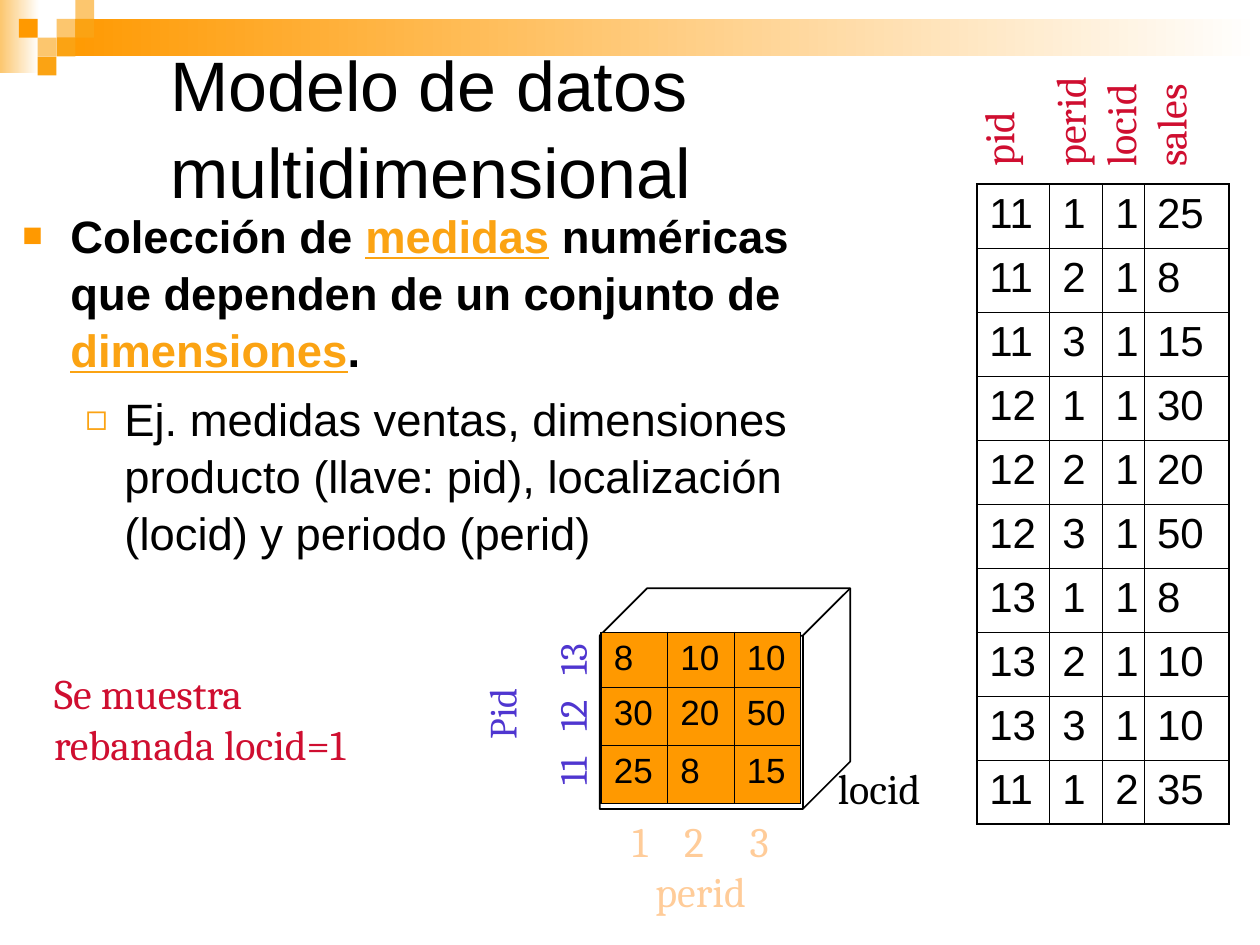
from dataclasses import dataclass

from lxml.etree import SubElement
from pptx import Presentation
from pptx.dml.color import RGBColor
from pptx.enum.shapes import MSO_SHAPE as Shape
from pptx.enum.text import MSO_ANCHOR as Anchor, PP_ALIGN as Align
from pptx.oxml.ns import qn
from pptx.util import Cm, Pt


@dataclass(frozen=True)
class Theme:
    black: str = "000000"
    white: str = "FFFFFF"
    orange: str = "FF9900"
    amber: str = "FBA313"
    sand: str = "FCC66E"
    peach: str = "FFCC99"
    red: str = "CF0E30"
    blue: str = "4F36D0"
    sans: str = "Arial"
    serif: str = "Cambria"
    title: float = 40
    body: float = 25.9
    label: float = 24
    axis: float = 22
    cell: float = 20
    thin: float = 0.45
    thick: float = 1.08


T = Theme()


def rgb(code):
    return RGBColor.from_string(code)


def add_run(para, text, size, color=T.black, face=T.sans, bold=False, line=False):
    run = para.add_run()
    run.text = text
    font = run.font
    font.size, font.name, font.bold, font.underline = Pt(size), face, bold, line
    font.color.rgb = rgb(color)


def add_box(slide, x, y, w, h, turn=0):
    box = slide.shapes.add_textbox(Cm(x), Cm(y), Cm(w), Cm(h))
    box.rotation = turn
    box.text_frame.word_wrap = True
    return box.text_frame


def add_lines(frame, lines, size, color, align=Align.LEFT, gaps=()):
    """One serif paragraph per line; gaps maps a line's index to its space before."""
    paras = []
    for i, text in enumerate(lines):
        para = frame.add_paragraph() if i else frame.paragraphs[0]
        para.alignment = align
        if i in gaps:
            para.space_before = Pt(gaps[i])
        add_run(para, text, size, color, T.serif)
        paras.append(para)
    return paras


def set_tabs(para, stops):
    para.alignment = Align.LEFT
    tabs = SubElement(para._p.get_or_add_pPr(), qn("a:tabLst"))
    for stop in stops:
        SubElement(tabs, qn("a:tab"), pos=str(Cm(stop)), algn="l")


def set_bullet(para, mark, color, scale, left, hang):
    props = para._p.get_or_add_pPr()
    props.set("marL", str(Cm(left)))
    props.set("indent", str(-Cm(hang)))
    tint = SubElement(props, qn("a:buClr"))
    SubElement(tint, qn("a:srgbClr"), val=color)
    SubElement(props, qn("a:buSzPct"), val=str(scale * 1000))
    SubElement(props, qn("a:buFont"), typeface=T.sans)
    SubElement(props, qn("a:buChar"), char=mark)


def set_edges(cell, widths):
    props = cell._tc.get_or_add_tcPr()
    for i, (side, width) in enumerate(widths.items()):
        edge = SubElement(props, qn(f"a:ln{side}"), w=str(Pt(width)))
        props.remove(edge)
        props.insert(i, edge)
        fill = SubElement(edge, qn("a:solidFill"))
        SubElement(fill, qn("a:srgbClr"), val=T.black)


def add_grid(slide, x, y, cols, rows, data, size, fill=None):
    """Table with a thick outer frame and thin inner rules."""
    frame = slide.shapes.add_table(len(rows), len(cols), Cm(x), Cm(y),
                                   Cm(sum(cols)), Cm(sum(rows)))
    table = frame.table
    table.first_row = table.horz_banding = False
    for col, width in zip(table.columns, cols):
        col.width = Cm(width)
    for row, height in zip(table.rows, rows):
        row.height = Cm(height)
    for r, values in enumerate(data):
        for c, value in enumerate(values):
            cell = table.cell(r, c)
            if fill:
                cell.fill.solid()
                cell.fill.fore_color.rgb = rgb(fill)
            else:
                cell.fill.background()
            outer = {"L": c == 0, "R": c == len(cols) - 1,
                     "T": r == 0, "B": r == len(rows) - 1}
            set_edges(cell, {k: T.thick if v else T.thin for k, v in outer.items()})
            add_run(cell.text_frame.paragraphs[0], str(value), size)


def add_rect(slide, x, y, w, h, color, fade=False):
    rect = slide.shapes.add_shape(Shape.RECTANGLE, Cm(x), Cm(y), Cm(w), Cm(h))
    rect.shadow.inherit = False
    rect.line.fill.background()
    if fade:
        rect.fill.gradient()
        rect.fill.gradient_angle = 0
        for stop, tone in zip(rect.fill.gradient_stops, (color, T.white)):
            stop.color.rgb = rgb(tone)
    else:
        rect.fill.solid()
        rect.fill.fore_color.rgb = rgb(color)


def draw_band(slide, x, y, w):
    unit = 0.38
    add_rect(slide, x, y, 0.79, 1.47, T.sand, fade=True)
    add_rect(slide, x + 3 * unit, y + unit, w - 3 * unit, 2 * unit, T.orange, fade=True)
    # Column, row and colour of each square in the corner mosaic
    for col, row, color in ((3, 1, T.sand), (4, 0, T.sand), (4, 1, T.amber),
                            (2, 2, T.sand), (1, 1, T.orange), (3, 2, T.amber),
                            (2, 3, T.amber)):
        add_rect(slide, x + col * unit, y + row * unit, unit, unit, color)


def draw_text(slide, x, y, w, h):
    # Title
    frame = add_box(slide, x + 2.98, y, 13.97, 2.54)
    frame.vertical_anchor = Anchor.MIDDLE
    para = frame.paragraphs[0]
    para.line_spacing = 1.03
    add_run(para, "Modelo de datos multidimensional", T.title)

    # Definition and example
    frame = add_box(slide, x, y + 2.74, w, h - 2.74)
    para = frame.paragraphs[0]
    para.line_spacing = 1.05
    set_bullet(para, "■", T.orange, 75, 0.97, 0.97)
    for text, key in (("Colección de ", False), ("medidas", True),
                      (" numéricas que dependen de un conjunto de ", False),
                      ("dimensiones", True), (".", False)):
        add_run(para, text, T.body, T.amber if key else T.black, bold=True, line=key)
    para = frame.add_paragraph()
    para.level, para.line_spacing, para.space_before = 1, 1.05, Pt(7)
    set_bullet(para, "◻", T.amber, 80, 2.06, 0.79)
    add_run(para, "Ej. medidas ventas, dimensiones producto (llave: pid), "
                  "localización (locid) y periodo (perid)", T.body)


def draw_facts(slide, x, y):
    # Upright column names
    frame = add_box(slide, x + 0.68, y, 2.97, 4.75, turn=270)
    add_lines(frame, ("pid", "perid", "locid", "sales"), T.label, T.red, gaps={1: 12})
    # Rows of the fact table
    data = ((11, 1, 1, 25), (11, 2, 1, 8), (11, 3, 1, 15),
            (12, 1, 1, 30), (12, 2, 1, 20), (12, 3, 1, 50),
            (13, 1, 1, 8), (13, 2, 1, 10), (13, 3, 1, 10),
            (11, 1, 2, 35))
    add_grid(slide, x, y + 3.96, (1.47, 1.07, 0.84, 1.7), [1.29] * len(data),
             data, T.label)


def draw_cube(slide, x, y, w, h):
    cube = slide.shapes.add_shape(Shape.CUBE, Cm(x), Cm(y), Cm(w), Cm(h))
    cube.adjustments[0] = 0.215
    cube.shadow.inherit = False
    cube.fill.background()
    cube.line.color.rgb = rgb(T.black)
    cube.line.width = Pt(1)
    # Front face
    add_grid(slide, x + 0.03, y + 0.89, [1.34] * 3, (1.11, 1.17, 1.17),
             ((8, 10, 10), (30, 20, 50), (25, 8, 15)), T.cell, T.orange)
    # Axis labels
    frame = add_box(slide, x - 2.5, y + 0.76, 3.38, 3.53, turn=270)
    paras = add_lines(frame, ("Pid", "11\t12\t13"), T.axis, T.blue,
                      Align.CENTER, {1: 13.8})
    set_tabs(paras[1], (1.07, 2.21))
    frame = add_box(slide, x + 0.41, y + h, 3.25, 2.29)
    paras = add_lines(frame, ("1\t2\t3", "perid"), T.label, T.peach, Align.CENTER)
    set_tabs(paras[0], (1.04, 2.36))
    frame = add_box(slide, x + 4.55, y + 3.38, 2.46, 1.27)
    add_lines(frame, ("locid",), T.label, T.black)


def draw_note(slide, x, y, w, h):
    frame = add_box(slide, x, y, w, h)
    add_lines(frame, ("Se muestra rebanada locid=1",), T.label, T.red)


def main():
    deck = Presentation()
    deck.slide_width, deck.slide_height = Cm(25.4), Cm(19.05)
    slide = deck.slides.add_slide(deck.slide_layouts[6])
    draw_band(slide, 0, 0, 25.4)
    draw_text(slide, 0.2, 1.27, 16.08, 9.93)
    draw_facts(slide, 19.69, -0.25)
    draw_cube(slide, 12.09, 11.86, 5.05, 4.45)
    draw_note(slide, 0.84, 13.34, 7.62, 2.29)
    deck.save("out.pptx")


if __name__ == "__main__":
    main()
